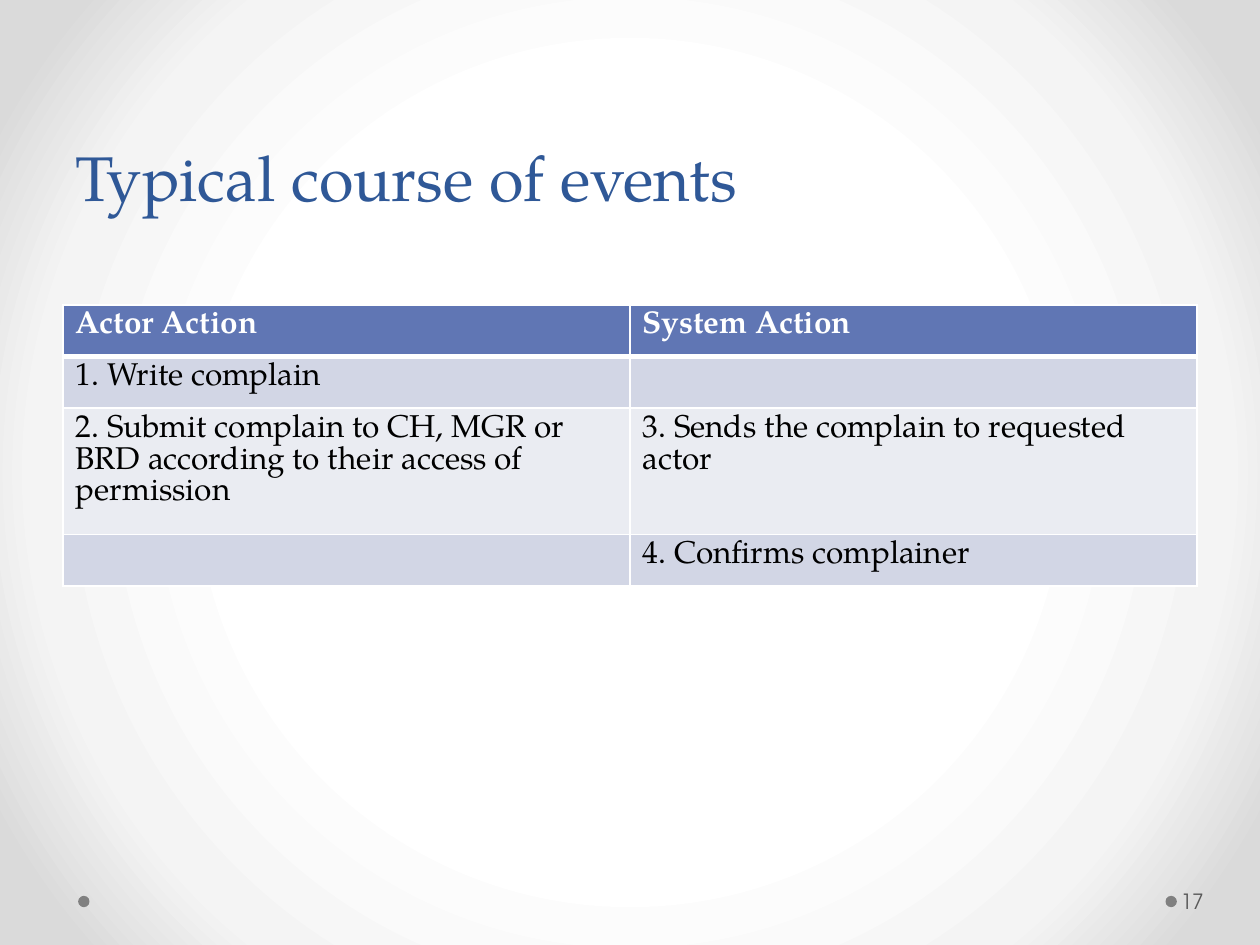
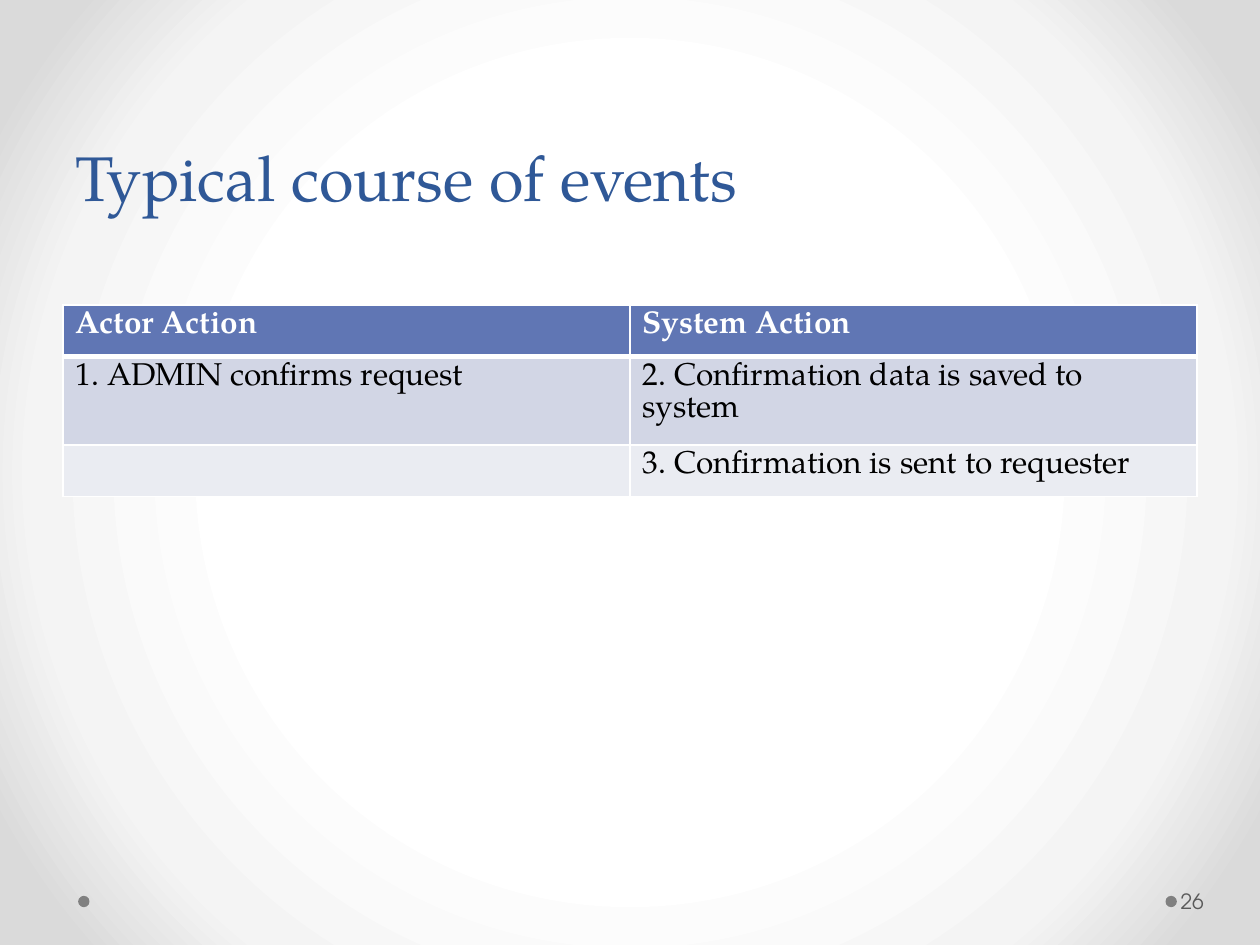
from dataclasses import dataclass

from lxml.etree import SubElement
from pptx import Presentation
from pptx.dml.color import RGBColor
from pptx.enum.shapes import MSO_SHAPE as Shape
from pptx.enum.text import MSO_ANCHOR as Anchor
from pptx.oxml import parse_xml
from pptx.oxml.ns import nsdecls, qn
from pptx.slide import Slide
from pptx.table import _Cell as Cell
from pptx.text.text import _Paragraph as Paragraph
from pptx.util import Inches, Pt

SERIF = "TeX Gyre Pagella"
SANS = "TeX Gyre Adventor"
TITLE_BLUE = "2F5897"
HEADER_BLUE = "6076B4"
BANDS = ("D2D6E5", "EAECF2")
DOT_GREY = "808080"
NUMBER_GREY = "595959"
WHITE = "FFFFFF"
BLACK = "000000"
GLOW_STOPS = ((50, WHITE), (76, "F4F4F4"), (92, "DADADA"))

TITLE = "Typical course of events"
HEADINGS = ("Actor Action", "System Action")
MARGIN = 0.5
CONTENT_WIDTH = 9
ROW_HEIGHT = 0.41
DOT_SIZE = 0.09
DOT_LEFTS = (0.62, 9.25)


@dataclass
class EventPage:
    number: int
    steps: list[tuple[str, str]]


PAGES = [
    EventPage(17, [
        ("1. Write complain", ""),
        ("2. Submit complain to CH, MGR or BRD according to their access of permission",
         "3. Sends the complain to requested actor"),
        ("", "4. Confirms complainer"),
    ]),
    EventPage(26, [
        ("1. ADMIN confirms request", "2. Confirmation data is saved to system"),
        ("", "3. Confirmation is sent to requester"),
    ]),
]


def color(value: str) -> RGBColor:
    return RGBColor.from_string(value)


def add_span(para: Paragraph, text: str, font: str, size: int, ink: str,
             bold: bool = False) -> None:
    span = para.add_run()
    span.text = text
    span.font.name = font
    span.font.size = Pt(size)
    span.font.bold = bold
    span.font.color.rgb = color(ink)


def paint_background(page: Slide) -> None:
    page.background.fill.gradient()
    linear = next(page.background._cSld.iter(qn("a:gradFill")))
    stops = "".join(
        f'<a:gs pos="{position * 1000}"><a:srgbClr val="{shade}"/></a:gs>'
        for position, shade in GLOW_STOPS)
    radial = parse_xml(
        f'<a:gradFill {nsdecls("a")} rotWithShape="1"><a:gsLst>{stops}</a:gsLst>'
        '<a:path path="circle"><a:fillToRect l="50000" t="50000" r="50000" b="50000"/>'
        '</a:path></a:gradFill>')
    linear.getparent().replace(linear, radial)


def add_dots(page: Slide) -> None:
    for left in DOT_LEFTS:
        dot = page.shapes.add_shape(Shape.OVAL, Inches(left), Inches(7.11),
                                    Inches(DOT_SIZE), Inches(DOT_SIZE))
        dot.shadow.inherit = False
        dot.fill.solid()
        dot.fill.fore_color.rgb = color(DOT_GREY)
        dot.line.fill.background()


def add_title(page: Slide) -> None:
    box = page.shapes.add_textbox(Inches(MARGIN), 0, Inches(CONTENT_WIDTH), Inches(1.75))
    frame = box.text_frame
    frame.word_wrap = True
    frame.vertical_anchor = Anchor.BOTTOM
    para = frame.paragraphs[0]
    para.line_spacing = Pt(58)
    add_span(para, TITLE, SERIF, 36, TITLE_BLUE)


def add_page_number(page: Slide, number: int) -> None:
    box = page.shapes.add_textbox(Inches(9.34), Inches(6.95), Inches(0.61), Inches(0.4))
    frame = box.text_frame
    frame.word_wrap = True
    frame.vertical_anchor = Anchor.MIDDLE
    frame.margin_left = Inches(0.03)
    frame.margin_right = Inches(0.05)
    add_span(frame.paragraphs[0], str(number), SANS, 12, NUMBER_GREY)


def set_borders(cell: Cell, top: int, bottom: int) -> None:
    properties = cell._tc.get_or_add_tcPr()
    for side, width in (("L", 1), ("R", 1), ("T", top), ("B", bottom)):
        line = SubElement(properties, qn(f"a:ln{side}"), w=str(Pt(width)))
        fill = SubElement(line, qn("a:solidFill"))
        SubElement(fill, qn("a:srgbClr"), val=WHITE)


def add_event_table(page: Slide, steps: list[tuple[str, str]]) -> None:
    rows = [HEADINGS, *steps]
    table = page.shapes.add_table(
        len(rows), len(HEADINGS), Inches(MARGIN), Inches(2.42),
        Inches(CONTENT_WIDTH), Inches(ROW_HEIGHT * len(rows))).table
    for row_index, texts in enumerate(rows):
        table.rows[row_index].height = Inches(ROW_HEIGHT)
        header = row_index == 0
        for column_index, text in enumerate(texts):
            cell = table.cell(row_index, column_index)
            set_borders(cell, top=3 if row_index == 1 else 1, bottom=3 if header else 1)
            cell.fill.solid()
            cell.fill.fore_color.rgb = color(
                HEADER_BLUE if header else BANDS[(row_index - 1) % len(BANDS)])
            if text:
                add_span(cell.text_frame.paragraphs[0], text, SERIF, 18,
                         WHITE if header else BLACK, bold=header)


def main() -> None:
    deck = Presentation()
    deck.slide_width = Inches(10)
    deck.slide_height = Inches(7.5)
    for event_page in PAGES:
        page = deck.slides.add_slide(deck.slide_layouts[6])
        paint_background(page)
        add_dots(page)
        add_title(page)
        add_event_table(page, event_page.steps)
        add_page_number(page, event_page.number)
    deck.save("out.pptx")


if __name__ == "__main__":
    main()
